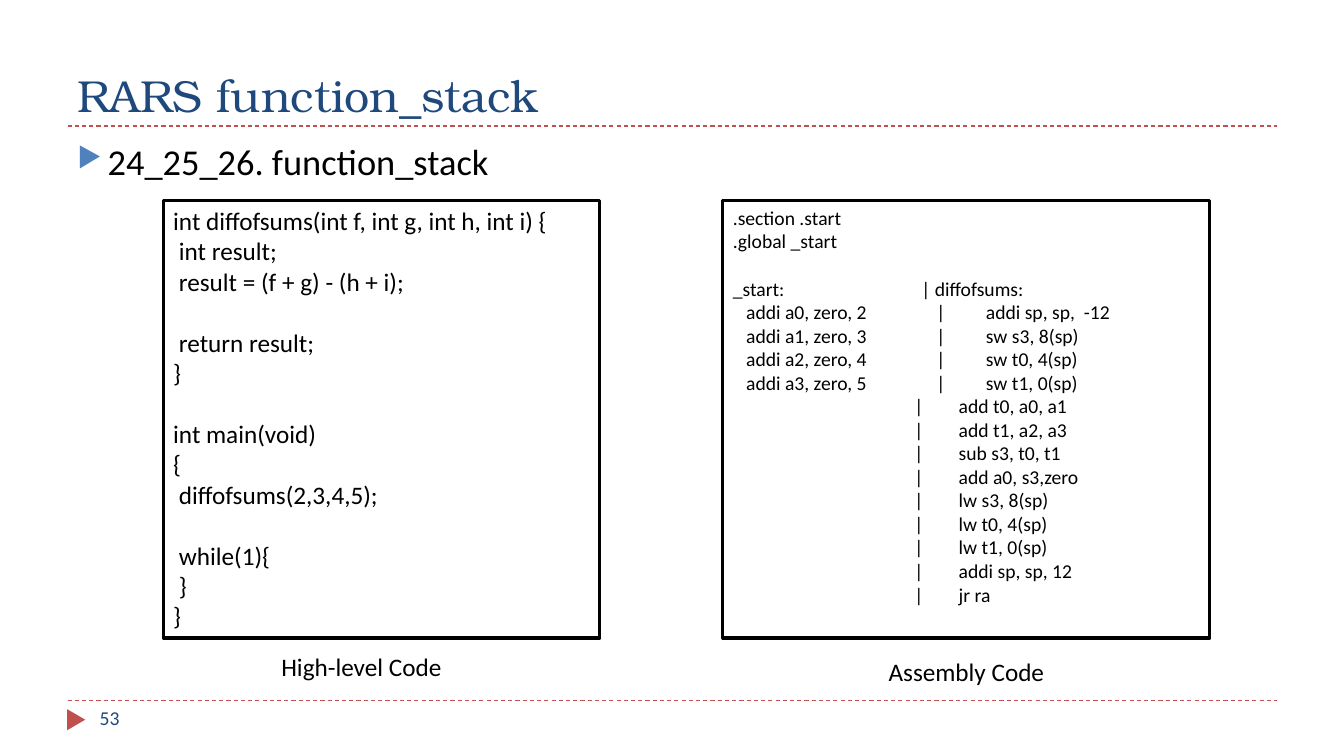
import pptx
import pptx.util
import pptx.dml.color
import pptx.enum.dml
import pptx.enum.shapes
import pptx.enum.text
import pptx.oxml
import pptx.oxml.ns

Inches = pptx.util.Inches
Pt = pptx.util.Pt
ALIGN = pptx.enum.text.PP_ALIGN
ANCHOR = pptx.enum.text.MSO_ANCHOR
SHAPES = pptx.enum.shapes.MSO_SHAPE

BLUE, RED, BLACK = "1F497D", "C0504D", "000000"
LINE_HEIGHT = 1.22


def color(hex_string):
    return pptx.dml.color.RGBColor.from_string(hex_string)


def write_lines(shape, lines, size, font="Calibri", text_color=BLACK,
                anchor=ANCHOR.TOP, align=ALIGN.LEFT):
    """Fill the shape with (text, tab stops) lines; an empty text becomes spacing."""
    frame = shape.text_frame
    frame.word_wrap = True
    frame.vertical_anchor = anchor
    paragraph, gap = None, 0
    for text, stops in lines:
        if not text:
            gap += size * LINE_HEIGHT
            continue
        paragraph = frame.add_paragraph() if paragraph else frame.paragraphs[0]
        paragraph.alignment = align
        if gap:
            paragraph.space_before = Pt(round(gap, 1))
            gap = 0
        if stops:
            tab_list = pptx.oxml.parse_xml(f"<a:tabLst {pptx.oxml.ns.nsdecls('a')}/>")
            for stop in stops:
                tab = tab_list.makeelement(pptx.oxml.ns.qn("a:tab"), {
                    "pos": str(Inches(stop)), "algn": "l"})
                tab_list.append(tab)
            paragraph._p.get_or_add_pPr().append(tab_list)
        run = paragraph.add_run()
        run.text = text
        for name, value in {"size": Pt(size), "name": font}.items():
            setattr(run.font, name, value)
        run.font.color.rgb = color(text_color)


presentation = pptx.Presentation()
presentation.slide_width = Inches(13.33)
presentation.slide_height = Inches(7.5)
slide = presentation.slides.add_slide(presentation.slide_layouts[6])
shapes = slide.shapes

# Dashed rules and footer marker
for y in (6.95, 1.25):
    rule = shapes.add_connector(pptx.enum.shapes.MSO_CONNECTOR.STRAIGHT,
                                Inches(0.67), Inches(y), Inches(12.67), Inches(y))
    rule.line.color.rgb = color(RED)
    rule.line.width = Pt(0.75)
    rule.line.dash_style = pptx.enum.dml.MSO_LINE.DASH
    rule._element.spPr.append(
        pptx.oxml.parse_xml(f"<a:effectLst {pptx.oxml.ns.nsdecls('a')}/>"))

marker = shapes.add_shape(SHAPES.ISOSCELES_TRIANGLE, Inches(0.65), Inches(7.05),
                          Inches(0.21), Inches(0.18))
marker.rotation = 90
marker.shadow.inherit = False
marker.fill.solid()
marker.fill.fore_color.rgb = color(RED)
marker.line.fill.background()

# Title, bullet, page number and captions
labels = [
    ("RARS function_stack", (0.67, 0.17, 12, 1.08), 32,
     {"font": "TeX Gyre Bonum", "text_color": BLUE, "anchor": ANCHOR.BOTTOM}),
    ("24_25_26. function_stack", (0.67, 1.33, 12, 0.6), 26, {}),
    ("53", (0.89, 6.95, 2.89, 0.4), 14, {"text_color": BLUE}),
    ("High-level Code", (1.42, 6.41, 4.33, 0.4), 18, {"align": ALIGN.CENTER}),
    ("Assembly Code", (7.42, 6.46, 4.33, 0.4), 18, {"align": ALIGN.CENTER}),
]
boxes = {}
for text, place, size, formats in labels:
    boxes[text] = shapes.add_textbox(*map(Inches, place))
    write_lines(boxes[text], [(text, ())], size, **formats)

bullet = boxes["24_25_26. function_stack"].text_frame.paragraphs[0]
bullet_properties = bullet._p.get_or_add_pPr()
bullet_properties.set("marL", str(Inches(0.3)))
bullet_properties.set("indent", str(-Inches(0.3)))
for element in ('<a:buClr {}><a:srgbClr val="4F81BD"/></a:buClr>',
                '<a:buSzPct {} val="76000"/>',
                '<a:buChar {} char="▶"/>'):
    bullet_properties.append(
        pptx.oxml.parse_xml(element.format(pptx.oxml.ns.nsdecls("a"))))

# Code panels
c_code = """int diffofsums(int f, int g, int h, int i) {
 int result;
 result = (f + g) - (h + i);

 return result;
}

int main(void)
{
 diffofsums(2,3,4,5);

 while(1){
 }
}"""
c_lines = [(line, ()) for line in c_code.split("\n")]

HEADER_STOPS, CALL_STOPS, BODY_STOPS = (1.87,), (2.02, 2.51), (1.8, 2.24)
call_rows = [
    ("addi a0, zero, 2", "addi sp, sp,  -12"),
    ("addi a1, zero, 3", "sw s3, 8(sp)"),
    ("addi a2, zero, 4", "sw t0, 4(sp)"),
    ("addi a3, zero, 5", "sw t1, 0(sp)"),
]
body_rows = ["add t0, a0, a1", "add t1, a2, a3", "sub s3, t0, t1",
             "add a0, s3,zero", "lw s3, 8(sp)", "lw t0, 4(sp)",
             "lw t1, 0(sp)", "addi sp, sp, 12", "jr ra"]
assembly_lines = [(".section .start", ()), (".global _start", ()), ("", ()),
                  ("_start:\t| diffofsums:", HEADER_STOPS)]
assembly_lines += [(f"   {left}\t|\t{right}", CALL_STOPS) for left, right in call_rows]
assembly_lines += [(f"\t|\t{right}", BODY_STOPS) for right in body_rows]

for left, width, lines, size in ((7.17, 4.83, assembly_lines, 14),
                                 (1.62, 4.33, c_lines, 18)):
    panel = shapes.add_shape(SHAPES.RECTANGLE, Inches(left), Inches(1.99),
                             Inches(width), Inches(4.34))
    panel.shadow.inherit = False
    panel.fill.background()
    panel.line.color.rgb = color(BLACK)
    panel.line.width = Pt(2.25)
    write_lines(panel, lines, size)

presentation.save("out.pptx")
